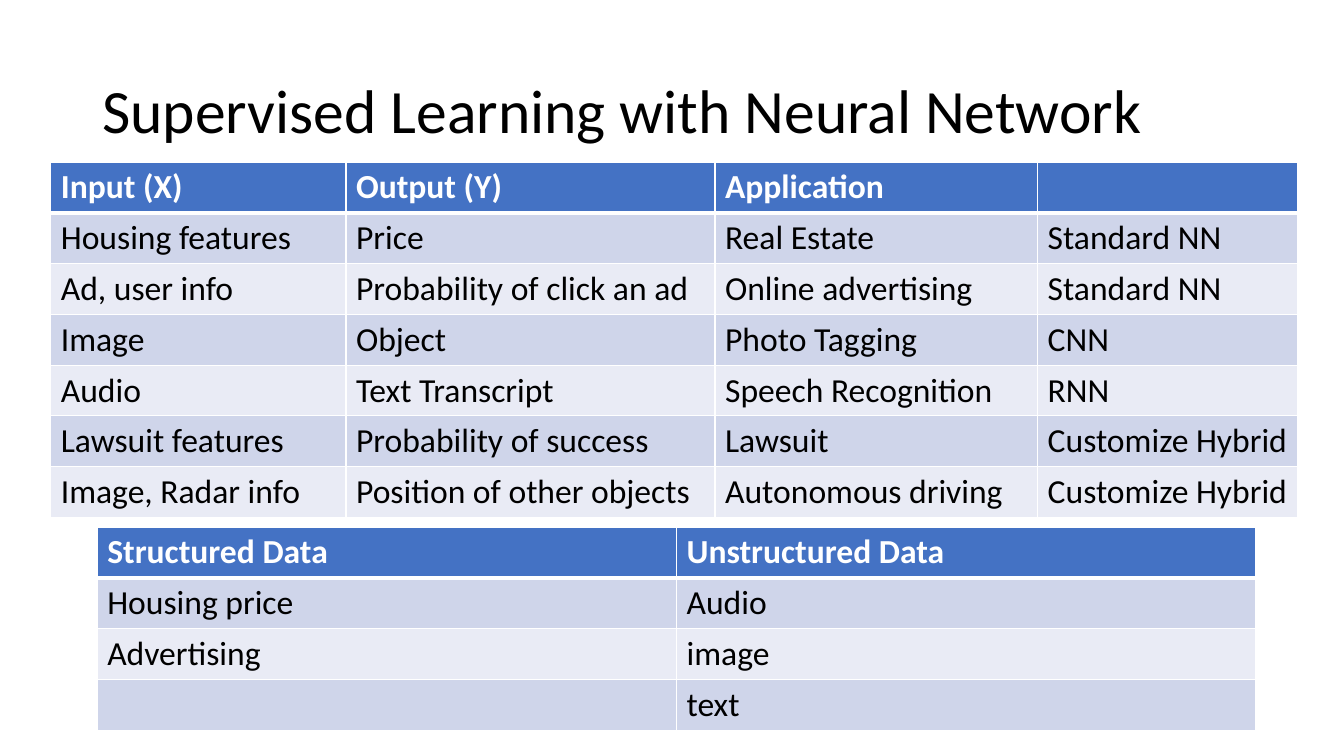
from lxml import etree
from pptx import Presentation
from pptx.dml.color import RGBColor
from pptx.enum.text import MSO_ANCHOR
from pptx.oxml.ns import qn
from pptx.util import Cm, Pt

MIDDLE = MSO_ANCHOR.MIDDLE
FONT = "Calibri"
HEADER, BANDS = "4472C4", ("E9EBF5", "CFD5EA")
ROW_HEIGHT = Cm(1.28)


def rgb(value):
    return RGBColor.from_string(value)


def add_border(cell, side, points):
    ln = etree.SubElement(cell._tc.get_or_add_tcPr(), qn(f"a:ln{side}"), w=str(Pt(points)))
    fill = etree.SubElement(ln, qn("a:solidFill"))
    etree.SubElement(fill, qn("a:srgbClr"), val="FFFFFF")


prs = Presentation()
prs.slide_width, prs.slide_height = Cm(33.87), Cm(19.05)
s = prs.slides.add_slide(prs.slide_layouts[6])

title = s.shapes.add_textbox(Cm(2.33), Cm(1.01), Cm(29.21), Cm(3.68))
tf = title.text_frame
tf.word_wrap = True
tf.vertical_anchor = MIDDLE
tf.text = "Supervised Learning with Neural Network"
p = tf.paragraphs[0]
p.line_spacing = 0.9
p.font.name, p.font.size = FONT, Pt(44)
p.font.color.rgb = rgb("000000")

applications = [
    ("Input (X)", "Output (Y)", "Application", ""),
    ("Housing features", "Price", "Real Estate", "Standard NN"),
    ("Ad, user info", "Probability of click an ad", "Online advertising", "Standard NN"),
    ("Image", "Object", "Photo Tagging", "CNN"),
    ("Audio", "Text Transcript", "Speech Recognition", "RNN"),
    ("Lawsuit features", "Probability of success", "Lawsuit", "Customize Hybrid"),
    ("Image, Radar info", "Position of other objects", "Autonomous driving", "Customize Hybrid"),
]
data_kinds = [
    ("Structured Data", "Unstructured Data"),
    ("Housing price", "Audio"),
    ("Advertising", "image"),
    ("", "text"),
]
tables = [
    (1.28, 4.08, (7.44, 9.3, 8.13, 6.55), applications),
    (2.45, 13.28, (14.6, 14.6), data_kinds),
]

for left, top, widths, rows in tables:
    table = s.shapes.add_table(
        len(rows), len(widths), Cm(left), Cm(top), Cm(sum(widths)), ROW_HEIGHT * len(rows)
    ).table
    for column, width in zip(table.columns, widths):
        column.width = Cm(width)
    for i, row in enumerate(rows):
        table.rows[i].height = ROW_HEIGHT
        for j, text in enumerate(row):
            cell = table.cell(i, j)
            for side in "LRTB":
                under_header = (i, side) in ((0, "B"), (1, "T"))
                add_border(cell, side, 3 if under_header else 1)
            cell.fill.solid()
            cell.fill.fore_color.rgb = rgb(BANDS[i % 2] if i else HEADER)
            cell.text_frame.text = text
            p = cell.text_frame.paragraphs[0]
            for r in p.runs:
                r.font.name, r.font.size, r.font.bold = FONT, Pt(24), i == 0
                r.font.color.rgb = rgb("000000" if i else "FFFFFF")

prs.save("out.pptx")
